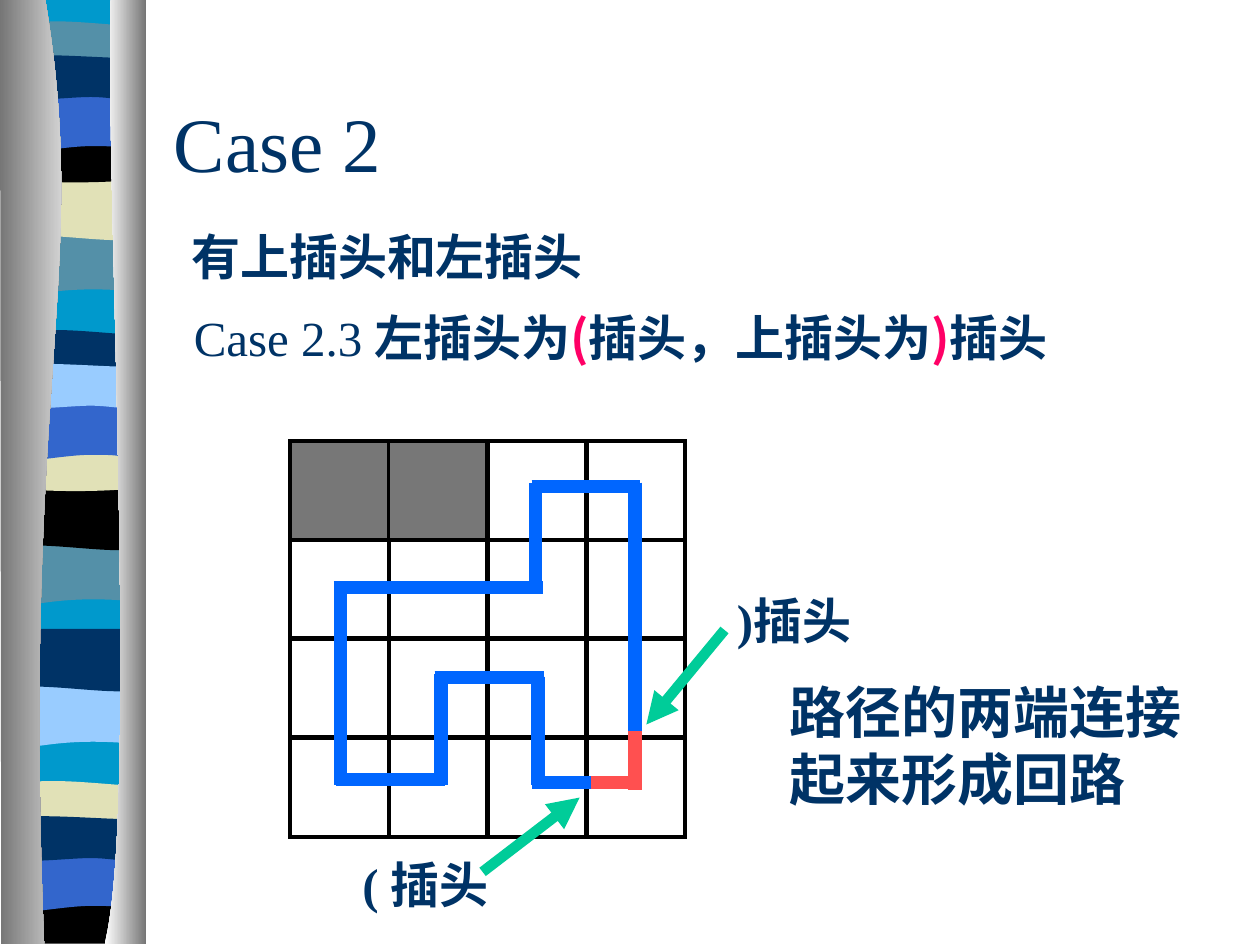
from dataclasses import dataclass
from typing import Optional

import pptx
import pptx.dml.color
import pptx.enum.shapes
import pptx.enum.text
import pptx.oxml.ns
import pptx.util
from lxml import etree

Inches = pptx.util.Inches
Pt = pptx.util.Pt
qn = pptx.oxml.ns.qn

COLORS = {
    "navy": "003366", "blue": "3366CC", "sky": "99CCFF", "cyan": "0099CC",
    "teal": "5490A8", "sand": "E1E1B7", "black": "000000", "shade": "767676",
    "white": "FFFFFF", "blocked": "777777",
    "path": "0066FF", "closing": "FF5050", "arrow": "00CC99", "pink": "FF0066",
}
LATIN, CHINESE = "Times New Roman", "Noto Sans CJK SC"


@dataclass
class Band:
    outline: str
    top: float
    color: str


@dataclass
class Span:
    text: str
    color: str = "navy"
    font: str = LATIN
    bold: bool = True


@dataclass
class Label:
    left: float
    top: float
    width: float
    height: float
    spans: list[Span]
    size: int = 28
    before: float = 17.5


@dataclass
class Segment:
    start: tuple[float, float]
    end: tuple[float, float]
    blue_end: Optional[tuple[float, float]] = None


# Band outlines measured from their top: pairs are corners, sextets are curves
OUTLINES = {
    "swell": [(1.14, 0), (1.14, 0.47), (0.39, 0.39, 0.23, 0.55, 0.05, 0.47), (0.05, 0)],
    "dip": [(1.14, 0), (1.14, 0.47), (0.96, 0.55, 0.39, 0.42, 0.05, 0.47), (0.05, 0)],
    "lens": [(1.14, 0.04), (1.14, 0.29), (0.96, 0.33, 0.23, 0.33, 0.05, 0.29),
             (0.05, 0.04), (0.12, 0, 0.29, 0, 0.47, 0), (0.65, 0, 1, 0.04, 1.14, 0.04)],
    "cap": [(1.14, 0), (1.14, 0.33), (0.96, 0.38, 0.24, 0.38, 0.05, 0.33),
            (0.05, 0), (0.72, 0.05, 0.92, 0, 1.14, 0)],
    "base": [(1.14, 0), (1.14, 0.37), (0.06, 0.37), (0.05, 0),
             (0.72, 0.05, 0.92, 0, 1.14, 0)],
    "arch": [(1.14, 0), (1.14, 0.47), (0.97, 0.41, 0.9, 0.41, 0.72, 0.41),
             (0.54, 0.41, 0.22, 0.47, 0.05, 0.47), (0.05, 0)],
    "wave": [(1.14, 0.05), (1.14, 0.36), (1.07, 0.41, 0.9, 0.36, 0.72, 0.36),
             (0.54, 0.36, 0.17, 0.41, 0.05, 0.36), (0.05, 0.05),
             (0.21, 0, 0.79, 0.05, 0.97, 0.05), (1.15, 0.05, 1.11, 0.05, 1.14, 0.05)],
}
BANDS = [
    Band("swell", 1.85, "teal"), Band("dip", 1.41, "sand"), Band("lens", 0.17, "teal"),
    Band("cap", 1.08, "black"), Band("arch", 0.75, "blue"), Band("wave", 0.41, "navy"),
    Band("swell", 4.31, "teal"), Band("dip", 3.87, "black"), Band("lens", 2.62, "navy"),
    Band("cap", 3.53, "sand"), Band("arch", 3.2, "blue"), Band("wave", 2.86, "sky"),
    Band("swell", 5.44, "sky"), Band("dip", 4.99, "navy"), Band("lens", 6.2, "sand"),
    Band("base", 7.12, "black"), Band("arch", 6.78, "blue"), Band("wave", 6.45, "navy"),
]
LEFT_EDGE = [(0.36, 0), (0.72, 2.17, 0.17, 2.96, 0.35, 7.49), (0.01, 7.49), (0, 0)]
RIGHT_EDGE = [(0.88, 0), (0.83, 1.25, 1.11, 6.47, 0.83, 7.49), (1.16, 7.49), (1.16, 0)]

GRID_LEFT, GRID_TOP, GRID_SIZE = 2.3, 3.5, 4
CELL, PITCH = 0.79, 2.35 / 3
BLOCKED = {(0, 0), (0, 1)}
LOOP = [
    Segment((2.7, 4.65), (2.7, 6.23)), Segment((2.65, 4.66), (4.31, 4.66)),
    Segment((4.25, 3.83), (4.25, 4.7)), Segment((4.22, 3.86), (5.08, 3.86)),
    Segment((5.04, 3.83), (5.04, 6.27), blue_end=(5.04, 5.8)),
    Segment((4.22, 6.21), (5.08, 6.21), blue_end=(4.69, 6.21)),
    Segment((4.27, 5.37), (4.27, 6.23)), Segment((3.45, 5.38), (4.32, 5.38)),
    Segment((3.5, 5.35), (3.5, 6.23)), Segment((2.67, 6.19), (3.53, 6.19)),
]
ARROWS = [Segment((5.75, 5), (5.13, 5.75)), Segment((3.83, 6.92), (4.6, 6.33))]
LABELS = [
    Label(1.42, 1.75, 7.92, 0.57, [Span("有上插头和左插头", font=CHINESE)]),
    Label(2.68, 6.73, 1.58, 0.57, [Span(" ( 插头")]),
    Label(5.75, 4.64, 1.58, 0.57, [Span(")插头")]),
    Label(6.17, 5.33, 3.5, 1.17, [Span("路径的两端连接起来形成回路")], 32, 20),
    Label(1.44, 2.39, 7.73, 1.04, [
        Span("Case 2.3 ", bold=False), Span("左插头为", font=CHINESE),
        Span("(", "pink", CHINESE), Span("插头，上插头为", font=CHINESE),
        Span(")", "pink", CHINESE), Span("插头", font=CHINESE)]),
]


def rgb(name: str) -> pptx.dml.color.RGBColor:
    return pptx.dml.color.RGBColor.from_string(COLORS[name])


def bend_curves(shape, outline: list[tuple]) -> None:
    """Merge the three line segments of each sextet into one cubic curve."""
    lines = iter(list(shape._element.iter(qn("a:lnTo"))))
    for step in outline[1:]:
        first = next(lines)
        if len(step) == 6:
            first.tag = qn("a:cubicBezTo")
            for line in (next(lines), next(lines)):
                first.append(line[0])
                line.getparent().remove(line)


def add_outline(page, outline: list[tuple], top: float, colors: list[str]) -> None:
    points = [(Inches(step[i]), Inches(step[i + 1] + top))
              for step in outline for i in range(0, len(step), 2)]
    builder = page.shapes.build_freeform(*points[0])
    builder.add_line_segments(points[1:], close=True)
    shape = builder.convert_to_shape()
    bend_curves(shape, outline)
    shape.shadow.inherit = False
    shape.line.fill.background()
    if len(colors) == 1:
        shape.fill.solid()
        shape.fill.fore_color.rgb = rgb(colors[0])
    else:
        shape.fill.gradient()
        shape.fill.gradient_angle = 0
        for stop, color in zip(shape.fill.gradient_stops, colors):
            stop.color.rgb = rgb(color)


def add_cell(page, row: int, column: int) -> None:
    cell = page.shapes.add_shape(
        pptx.enum.shapes.MSO_SHAPE.RECTANGLE, Inches(GRID_LEFT + column * PITCH),
        Inches(GRID_TOP + row * PITCH), Inches(CELL), Inches(CELL))
    cell.shadow.inherit = False
    cell.line.color.rgb = rgb("black")
    cell.line.width = Pt(2.25)
    etree.SubElement(cell._element.spPr.find(qn("a:ln")), qn("a:miter"), lim="800000")
    if (row, column) in BLOCKED:
        cell.fill.solid()
        cell.fill.fore_color.rgb = rgb("blocked")
    else:
        cell.fill.background()


def add_line(page, start: tuple, end: tuple, color: str, width: float, arrow: bool = False) -> None:
    line = page.shapes.add_connector(
        pptx.enum.shapes.MSO_CONNECTOR.STRAIGHT, *(Inches(value) for value in start + end))
    line.line.color.rgb = rgb(color)
    line.line.width = Pt(width)
    properties = line._element.spPr
    if arrow:
        etree.SubElement(properties.find(qn("a:ln")), qn("a:tailEnd"), type="triangle")
    etree.SubElement(properties, qn("a:effectLst"))


def format_run(run, span: Span, size: int) -> None:
    run.font.size = Pt(size)
    run.font.bold = span.bold
    run.font.name = span.font
    run.font.color.rgb = rgb(span.color)
    etree.SubElement(run._r.get_or_add_rPr(), qn("a:ea"), typeface=CHINESE)


def add_label(page, label: Label) -> None:
    box = page.shapes.add_textbox(*(Inches(value) for value in (
        label.left, label.top, label.width, label.height)))
    box.text_frame.word_wrap = True
    box.text_frame.auto_size = pptx.enum.text.MSO_AUTO_SIZE.SHAPE_TO_FIT_TEXT
    para = box.text_frame.paragraphs[0]
    para.space_before = Pt(label.before)
    for span in label.spans:
        run = para.add_run()
        run.text = span.text
        format_run(run, span, label.size)


def main() -> None:
    deck = pptx.Presentation()
    deck.slide_width, deck.slide_height = Inches(10), Inches(7.5)
    page = deck.slides.add_slide(deck.slide_layouts[5])

    # Ribbon along the left side
    add_outline(page, [(1.14, 0), (1.14, 7.47), (0.05, 7.47), (0.05, 0)], 0, ["cyan"])
    for band in BANDS:
        add_outline(page, OUTLINES[band.outline], band.top, [band.color])
    add_outline(page, LEFT_EDGE, 0, ["shade", "white"])
    add_outline(page, RIGHT_EDGE, 0, ["white", "shade"])

    # Title
    title = page.shapes.title
    title.left, title.top, title.width, title.height = (
        Inches(value) for value in (1.28, 0.5, 8.5, 1.25))
    title.text_frame.text = "Case 2"
    title.text_frame.vertical_anchor = pptx.enum.text.MSO_ANCHOR.MIDDLE
    para = title.text_frame.paragraphs[0]
    para.alignment = pptx.enum.text.PP_ALIGN.LEFT
    format_run(para.runs[0], Span("Case 2", bold=False), 44)

    # Grid, closed loop, and the path drawn over it
    for row in range(GRID_SIZE):
        for column in range(GRID_SIZE):
            add_cell(page, row, column)
    for segment in LOOP:
        add_line(page, segment.start, segment.end, "closing", 7.5)
    for segment in LOOP:
        add_line(page, segment.start, segment.blue_end or segment.end, "path", 7.5)

    # Arrows and text
    for arrow in ARROWS:
        add_line(page, arrow.start, arrow.end, "arrow", 6, arrow=True)
    for label in LABELS:
        add_label(page, label)

    deck.save("out.pptx")


if __name__ == "__main__":
    main()
